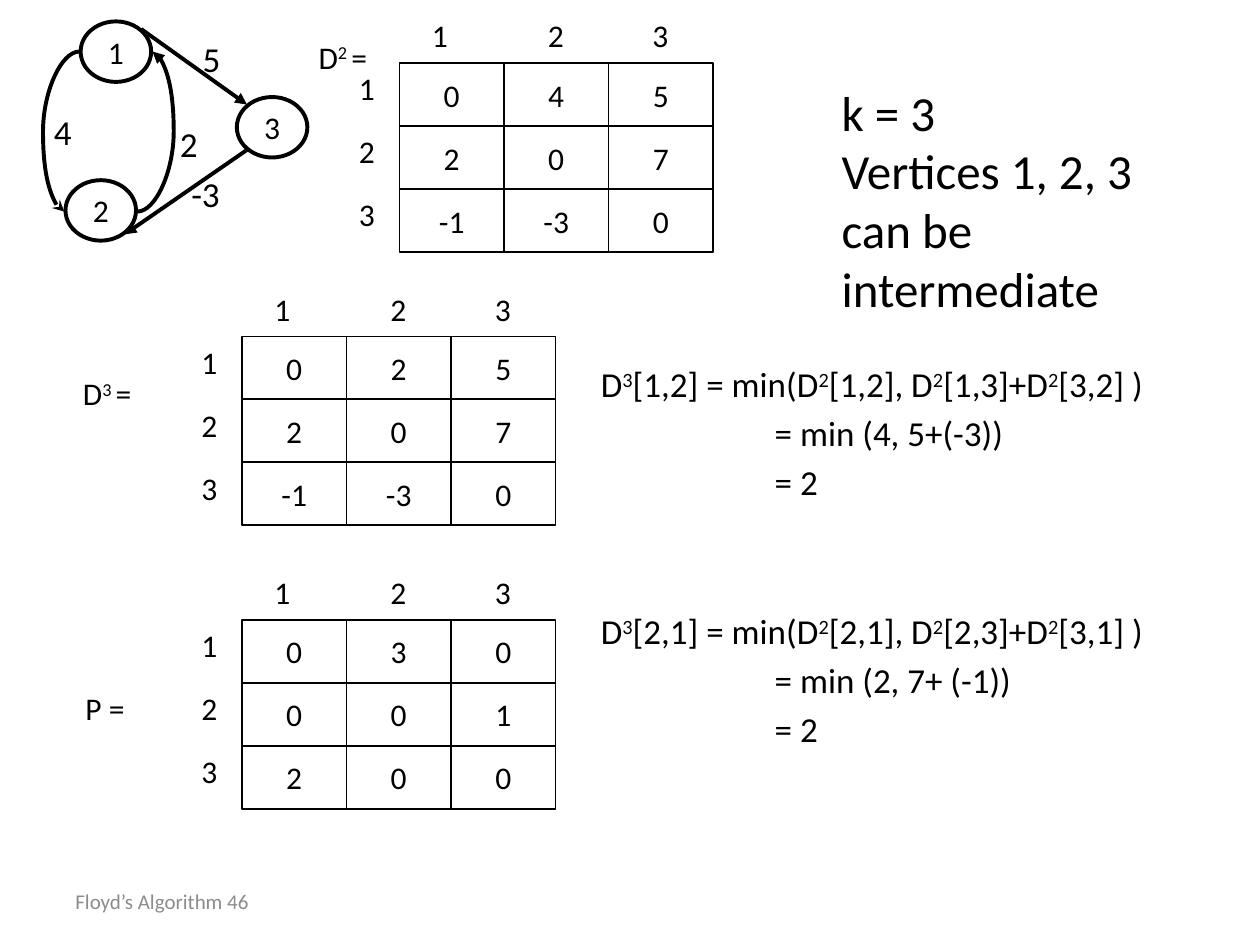
"""Build the slide on the last step of Floyd's algorithm."""
from dataclasses import dataclass

from lxml import etree
from pptx import Presentation
from pptx.dml.color import RGBColor
from pptx.enum.dml import MSO_THEME_COLOR
from pptx.enum.shapes import MSO_CONNECTOR, MSO_SHAPE
from pptx.enum.text import MSO_ANCHOR, MSO_AUTO_SIZE, PP_ALIGN
from pptx.oxml.ns import qn
from pptx.util import Inches, Pt

RECT, OVAL = MSO_SHAPE.RECTANGLE, MSO_SHAPE.OVAL
LINE, CURVE = MSO_CONNECTOR.STRAIGHT, MSO_CONNECTOR.CURVE
LEFT, CENTER = PP_ALIGN.LEFT, PP_ALIGN.CENTER
MIDDLE, TOP = MSO_ANCHOR.MIDDLE, MSO_ANCHOR.TOP
FONT = "Calibri"
COLORS = {"ink": "000000", "foot": "8C8C8C"}
CELL_W, CELL_H = 0.83, 0.5


@dataclass
class Label:
    text: str
    x: float
    y: float
    w: float
    h: float
    size: int = 18


@dataclass
class Matrix:
    x: float
    y: float
    rows: list[list[int]]


@dataclass
class Node:
    text: str
    x: float
    y: float


@dataclass
class Edge:
    start: tuple[float, float]
    end: tuple[float, float]
    tip: str = "tailEnd"
    head: str = "triangle"
    bend: int | None = None


LABELS = [
    Label("D^3 ^=", 0.56, 2.92, 0.88, 0.5),
    Label("P =", 0.58, 5.42, 0.66, 0.5),
    Label("D^2 ^=", 2.43, 0.25, 0.88, 0.5),
    Label("5", 1.51, 0.25, 0.34, 0.43, 20),
    Label("-3", 1.42, 1.32, 0.43, 0.43, 20),
    Label("2", 1.33, 0.92, 0.34, 0.43, 20),
    Label("4", 0.33, 0.83, 0.34, 0.43, 20),
]
MATRICES = [
    Matrix(1.92, 2.67, [[0, 2, 5], [2, 0, 7], [-1, -3, 0]]),
    Matrix(1.92, 4.92, [[0, 3, 0], [0, 0, 1], [2, 0, 0]]),
    Matrix(3.17, 0.5, [[0, 4, 5], [2, 0, 7], [-1, -3, 0]]),
]
NODES = [Node("1", 0.64, 0.17), Node("2", 0.52, 1.43), Node("3", 1.88, 0.77)]
EDGES = [
    Edge((1.12, 0.23), (1.96, 0.83)),
    Edge((1.96, 1.19), (0.99, 1.86)),
    Edge((0.51, 1.68), (0.63, 0.41), "headEnd", "stealth", -140600),
    Edge((1.09, 1.68), (1.21, 0.41), bend=240600),
]
STEPS = [
    ["D^3^[1,2] = min(D^2^[1,2], D^2^[1,3]+D^2^[3,2] )",
     "= min (4, 5+(-3))", "= 2"],
    ["D^3^[2,1] = min(D^2^[2,1], D^2^[2,3]+D^2^[3,1] )",
     "= min (2, 7+ (-1))", "= 2"],
]


def style(font, size: int, color: str = "ink") -> None:
    font.name = FONT
    font.size = Pt(size)
    font.color.rgb = RGBColor.from_string(COLORS[color])


def write(para, text: str, size: int, color: str = "ink") -> None:
    for i, part in enumerate(text.split("^")):
        run = para.add_run()
        run.text = part
        style(run.font, size, color)
        if i % 2:
            run.font._element.set("baseline", "30000")


def add_box(shapes, x: float, y: float, w: float, h: float):
    box = shapes.add_textbox(Inches(x), Inches(y), Inches(w), Inches(h))
    box.text_frame.word_wrap = True
    box.text_frame.margin_right = 0
    return box.text_frame


def add_label(shapes, item: Label, color: str = "ink", anchor=TOP) -> None:
    frame = add_box(shapes, item.x, item.y, item.w, item.h)
    frame.vertical_anchor = anchor
    write(frame.paragraphs[0], item.text, item.size, color)


def add_cell(shapes, kind, text: str, x: float, y: float, w: float, h: float,
             width: float) -> None:
    cell = shapes.add_shape(kind, Inches(x), Inches(y), Inches(w), Inches(h))
    cell.shadow.inherit = False
    cell.fill.background()
    cell.line.color.rgb = RGBColor.from_string(COLORS["ink"])
    cell.line.width = Pt(width)
    frame = cell.text_frame
    frame.word_wrap = False
    frame.vertical_anchor = MIDDLE
    para = frame.paragraphs[0]
    para.alignment = CENTER
    write(para, text, 18)


def add_matrix(slide, item: Matrix) -> None:
    shapes = slide.shapes.add_group_shape().shapes
    for r, row in enumerate(item.rows):
        for c, value in enumerate(row):
            add_cell(shapes, RECT, str(value), item.x + c * CELL_W,
                     item.y + r * CELL_H, CELL_W, CELL_H, 1)
    for i, shift in enumerate((0.16, 1.08, 1.91)):
        name = str(i + 1)
        add_label(shapes, Label(name, item.x + shift, item.y - 0.42, 0.37, 0.5))
        add_label(shapes, Label(name, item.x - 0.42, item.y + i * CELL_H, 0.37, 0.5))


def add_edge(shapes, item: Edge) -> None:
    kind = LINE if item.bend is None else CURVE
    ends = [Inches(v) for v in (*item.start, *item.end)]
    edge = shapes.add_connector(kind, *ends)
    edge.line.color.rgb = RGBColor.from_string(COLORS["ink"])
    edge.line.width = Pt(2.25)
    props = edge._element.spPr
    etree.SubElement(props.find(qn("a:ln")), qn(f"a:{item.tip}"), type=item.head)
    etree.SubElement(props, qn("a:effectLst"))
    if item.bend is not None:
        geom = props.find(qn("a:prstGeom"))
        guides = geom.find(qn("a:avLst"))
        if guides is None:
            guides = etree.SubElement(geom, qn("a:avLst"))
        etree.SubElement(guides, qn("a:gd"), name="adj1", fmla=f"val {item.bend}")


def add_steps(shapes) -> None:
    frame = add_box(shapes, 4.67, 2.83, 5.08, 3.58)
    para = frame.paragraphs[0]
    for b, block in enumerate(STEPS):
        for i, text in enumerate(block):
            if b or i:
                para = frame.add_paragraph()
            para.space_before = Pt(61 if b and not i else 4)
            if i:
                para._p.get_or_add_pPr().set("marL", str(Inches(1.38)))
            write(para, text, 20)


def set_title(title) -> None:
    title.left, title.top = Inches(6.58), Inches(0.67)
    title.width, title.height = Inches(2.92), Inches(1.83)
    frame = title.text_frame
    frame.text = "k = 3\vVertices 1, 2, 3 can be intermediate"
    frame.word_wrap = True
    frame.auto_size = MSO_AUTO_SIZE.NONE
    frame.vertical_anchor = MIDDLE
    para = frame.paragraphs[0]
    para.alignment = LEFT
    for run in para.runs:
        style(run.font, 28)


def main() -> None:
    deck = Presentation()
    deck.slide_width, deck.slide_height = Inches(10), Inches(7.5)
    slide = deck.slides.add_slide(deck.slide_layouts[5])
    slide.background.fill.solid()
    slide.background.fill.fore_color.theme_color = MSO_THEME_COLOR.BACKGROUND_1
    set_title(slide.shapes.title)
    for item in MATRICES:
        add_matrix(slide, item)
    for node in NODES:
        add_cell(slide.shapes, OVAL, node.text, node.x, node.y, 0.56, 0.48, 2.25)
    for edge in EDGES:
        add_edge(slide.shapes, edge)
    for label in LABELS:
        add_label(slide.shapes, label)
    add_steps(slide.shapes)
    foot = Label("Floyd’s Algorithm 46", 0.5, 6.95, 2.33, 0.4, 12)
    add_label(slide.shapes, foot, "foot", MIDDLE)
    deck.save("out.pptx")


main()
